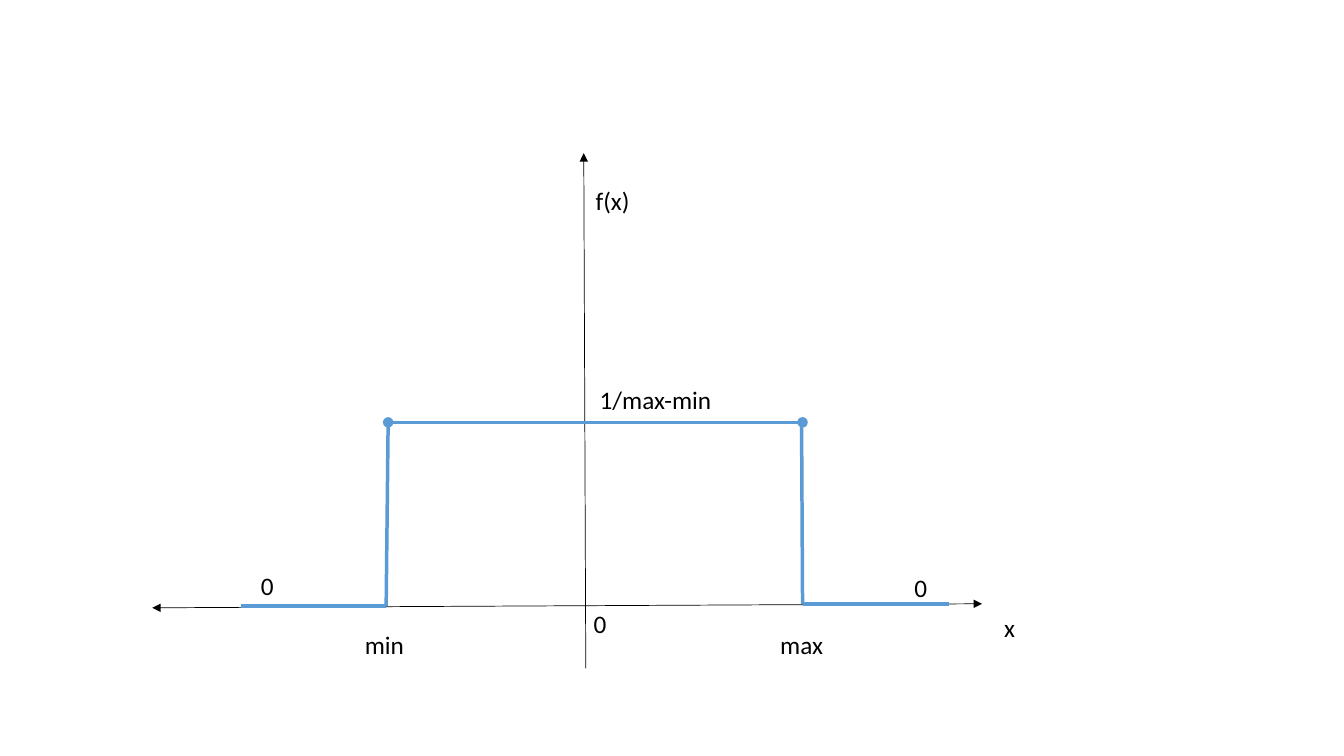
from lxml import etree
from pptx import Presentation
from pptx.dml.color import RGBColor
from pptx.enum.shapes import MSO_CONNECTOR
from pptx.enum.text import MSO_AUTO_SIZE
from pptx.oxml.ns import qn
from pptx.util import Inches, Pt

STRAIGHT = MSO_CONNECTOR.STRAIGHT
GROW = MSO_AUTO_SIZE.SHAPE_TO_FIT_TEXT
BLACK, BLUE = "000000", "5B9BD5"
FONT = "Calibri"


def color(hex_text):
    return RGBColor.from_string(hex_text)


def add_line(s, start, end, line_color, width, head=None, tail=None):
    line = s.shapes.add_connector(
        STRAIGHT, *(Inches(v) for v in (*start, *end)))
    line.line.color.rgb = color(line_color)
    line.line.width = Pt(width)
    # Line ends: head sits at the start, tail at the end
    ln = line.line._get_or_add_ln()
    for tag, kind in (("a:headEnd", head), ("a:tailEnd", tail)):
        if kind:
            etree.SubElement(ln, qn(tag), type=kind)
    etree.SubElement(line._element.spPr, qn("a:effectLst"))


def add_label(s, text, left, top, width, wrap=False):
    tb = s.shapes.add_textbox(
        Inches(left), Inches(top), Inches(width), Inches(0.4))
    tf = tb.text_frame
    tf.word_wrap = wrap
    tf.auto_size = GROW
    r = tf.paragraphs[0].add_run()
    r.text = text
    r.font.name = FONT
    r.font.size = Pt(18)
    r.font.color.rgb = color(BLACK)


def add_density_plot(s, left, top, width, height):
    def at(x, y):
        return left + x, top + y

    # Axes
    add_line(s, at(0, 4.51), at(width, 4.47), BLACK, 0.5,
             "triangle", "triangle")
    add_line(s, at(4.3, height), at(4.28, 0), BLACK, 0.5, tail="triangle")

    # Uniform density, from the left tail to the right tail
    min_foot, min_top = at(2.32, 4.49), at(2.34, 2.67)
    max_top, max_foot = at(6.45, 2.67), at(6.45, 4.47)
    add_line(s, min_foot, min_top, BLUE, 2.5)
    add_line(s, min_top, max_top, BLUE, 2.5, "oval", "oval")
    for start, end in ((at(6.44, 2.67), max_foot),
                       (max_foot, at(7.9, 4.47)),
                       (min_foot, at(0.88, 4.49))):
        add_line(s, start, end, BLUE, 2.5)

    # Labels
    add_label(s, "0", *at(4.28, 4.47), 0.45, wrap=True)
    for text, x, y, label_width in (
            ("max", 6.13, 4.67, 0.63),
            ("min", 2.01, 4.67, 0.59),
            ("f(x)", 4.3, 0.27, 0.54),
            ("x", 8.35, 4.51, 0.31),
            ("1/max-min", 4.34, 2.24, 1.33),
            ("0", 7.46, 4.11, 0.33),
            ("0", 0.98, 4.09, 0.33)):
        add_label(s, text, *at(x, y), label_width)


prs = Presentation()
prs.slide_width, prs.slide_height = Inches(13.33), Inches(7.5)
s = prs.slides.add_slide(prs.slide_layouts[6])
add_density_plot(s, 1.51, 1.52, 8.23, 5.11)
prs.save("out.pptx")
